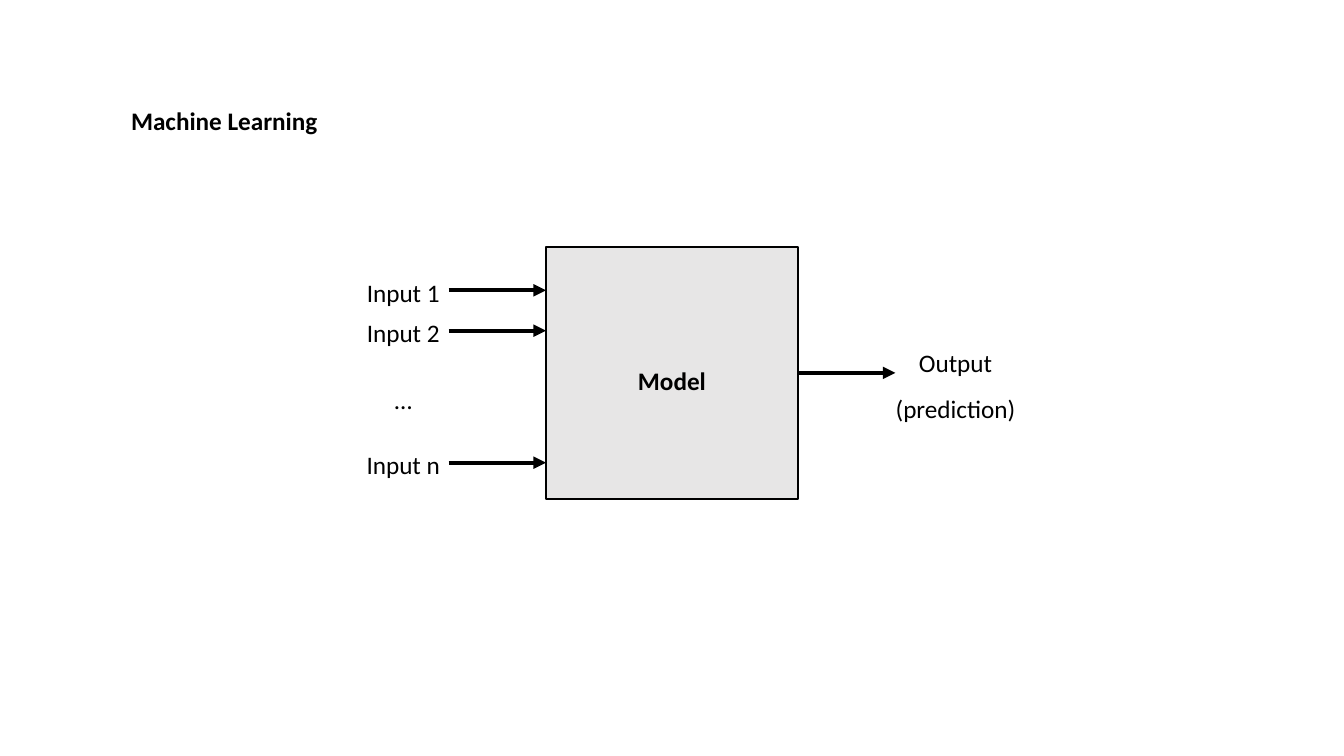
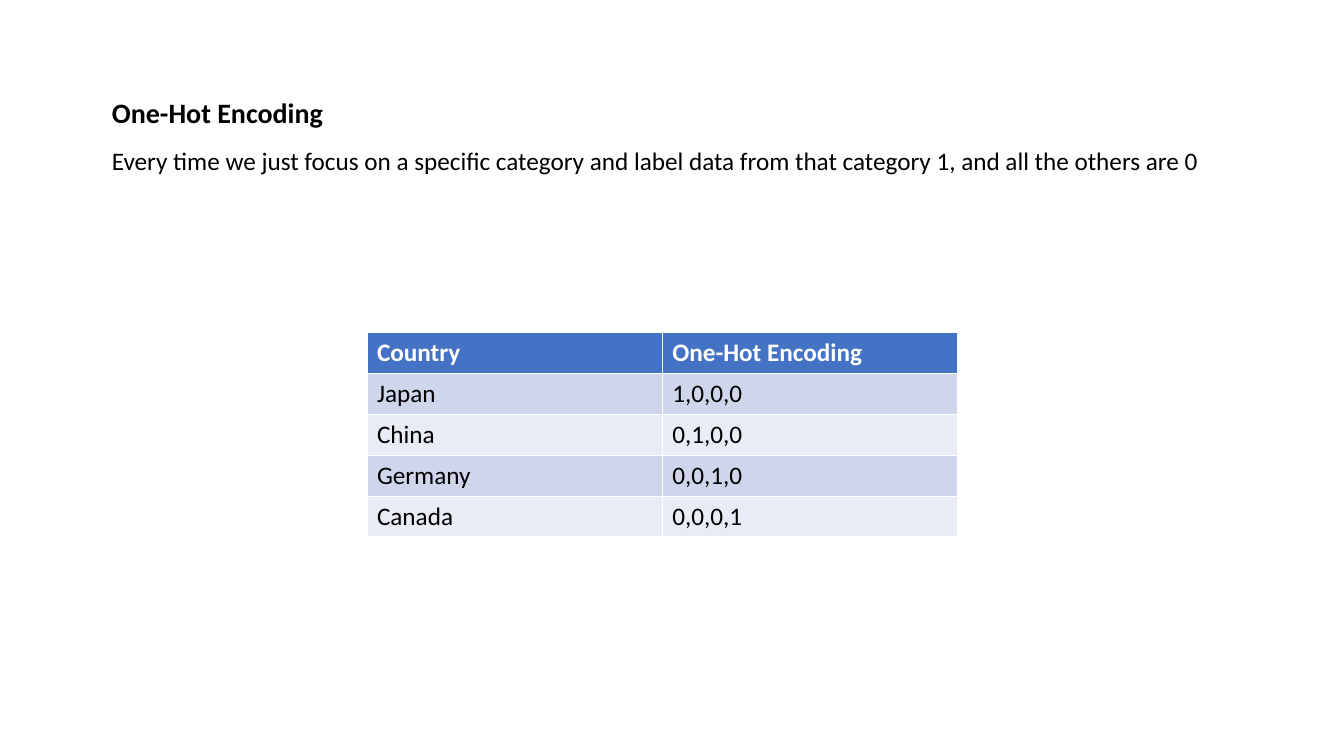
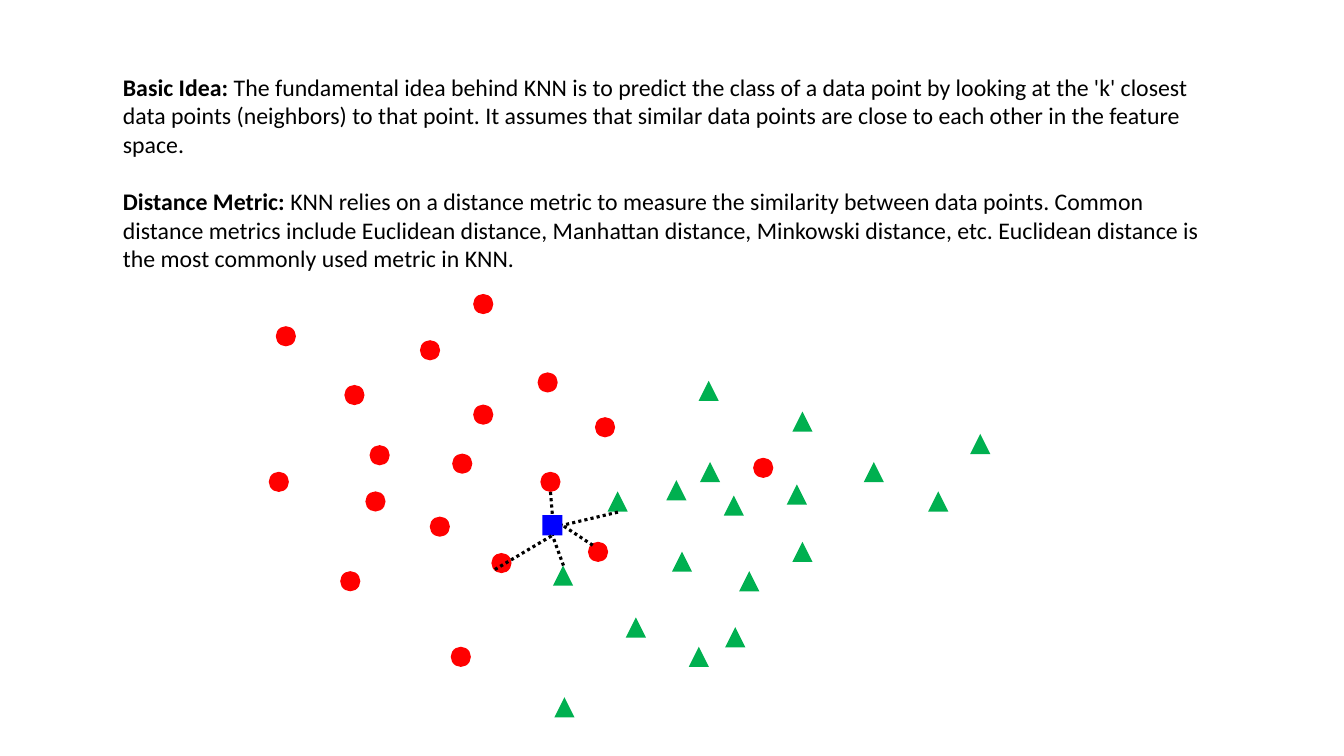
from dataclasses import dataclass

from lxml import etree
from pptx import Presentation
from pptx.dml.color import RGBColor
from pptx.enum import dml, shapes, text
from pptx.oxml import ns
from pptx.util import Pt


@dataclass(frozen=True)
class Theme:
    font: str = "Calibri"
    ink: str = "000000"
    paper: str = "FFFFFF"
    model: str = "E7E6E6"
    header: str = "4472C4"
    bands: tuple = ("CFD5EA", "E9EBF5")
    red: str = "FF0000"
    green: str = "00B050"
    blue: str = "0000FF"
    heading: int = 20
    body: int = 18
    dense: int = 17
    loose: float = 1.5


THEME = Theme()
SLIDE_SIZE = (960, 540)

MODEL_TITLE = "Machine Learning"
MODEL_BOX = (390, 176.4, 180, 180)
INPUTS = [("Input 1", 207.4, True), ("Input 2", 236.2, True),
          ("…", 283.7, False), ("Input n", 330.5, True)]
OUTPUT = "Output\v(prediction)"
ARROW_LENGTH = 69.6
LABEL_WIDTH = 168.5

ENCODING_TITLE = "One-Hot Encoding"
ENCODING_TEXT = ("Every time we just focus on a specific category and label data "
                 "from that category 1, and all the others are 0")
ENCODING_ROWS = [("Country", "One-Hot Encoding"), ("Japan", "1,0,0,0"),
                 ("China", "0,1,0,0"), ("Germany", "0,0,1,0"), ("Canada", "0,0,0,1")]

KNN_IDEAS = [
    ("Basic Idea:", " The fundamental idea behind KNN is to predict the class of a data "
     "point by looking at the 'k' closest data points (neighbors) to that point. It "
     "assumes that similar data points are close to each other in the feature space."),
    ("Distance Metric:", " KNN relies on a distance metric to measure the similarity "
     "between data points. Common distance metrics include Euclidean distance, Manhattan "
     "distance, Minkowski distance, etc. Euclidean distance is the most commonly used "
     "metric in KNN."),
]
MARKER = 14.4
CIRCLES = [(338, 289), (300, 243), (538, 327), (307, 369), (386, 337), (384, 266),
           (420, 387), (425, 298), (351, 395), (322, 462), (243, 408), (192, 337),
           (264, 318), (323, 324), (338, 210), (197, 233), (246, 275), (261, 351)]
TRIANGLES = [(492, 462), (480, 394), (447, 441), (476, 343), (434, 351), (500, 330),
             (395, 404), (396, 498), (562, 346), (528, 408), (499, 272), (517, 354),
             (518, 448), (663, 351), (617, 330), (693, 310), (566, 294), (566, 387)]
QUERY = (387.4, 368)
NEIGHBOR_LINKS = [((393.2, 351.4), "top"), ((402.5, 404), "bottom"),
                  ((353.5, 406.8), "bottom"), ((441.4, 365.8), "right"),
                  ((423.4, 389.5), "right")]


def color(value):
    return RGBColor.from_string(value)


def style(paragraph, size, bold=None, ink=THEME.ink, align=None, spacing=None):
    paragraph.alignment = align
    paragraph.line_spacing = spacing
    font = paragraph.font
    font.name, font.size, font.bold = THEME.font, Pt(size), bold
    font.color.rgb = color(ink)


def prepare(shape, anchor=text.MSO_ANCHOR.TOP):
    frame = shape.text_frame
    frame.word_wrap = True
    frame.auto_size = text.MSO_AUTO_SIZE.NONE
    frame.vertical_anchor = anchor
    return frame


def place(shape, left, top, width, height):
    shape.left, shape.top = Pt(left), Pt(top)
    shape.width, shape.height = Pt(width), Pt(height)


def set_title(slide, content, box, size):
    title = slide.shapes.title
    place(title, *box)
    frame = prepare(title)
    frame.text = content
    style(frame.paragraphs[0], size, True, align=text.PP_ALIGN.LEFT, spacing=THEME.loose)


def set_body(slide, paragraphs, box, size, spacing=None, gap=0):
    body = slide.placeholders[1]
    place(body, *box)
    frame = prepare(body)
    for index, (lead, rest) in enumerate(paragraphs):
        paragraph = frame.add_paragraph() if index else frame.paragraphs[0]
        for content, bold in ((lead, True), (rest, False)):
            if content:
                run = paragraph.add_run()
                run.text, run.font.bold = content, bold
        paragraph.space_before = Pt(gap if index else 0)
        properties = paragraph._p.get_or_add_pPr()
        properties.set("marL", "0")
        properties.set("indent", "0")
        etree.SubElement(properties, ns.qn("a:buNone"))
        style(paragraph, size, spacing=spacing)


def add_label(slide, content, left, top, height):
    box = slide.shapes.add_textbox(Pt(left), Pt(top), Pt(LABEL_WIDTH), Pt(height))
    frame = prepare(box)
    frame.text = content
    style(frame.paragraphs[0], THEME.body, align=text.PP_ALIGN.CENTER, spacing=THEME.loose)


def add_shape(slide, kind, box, fill):
    shape = slide.shapes.add_shape(kind, *map(Pt, box))
    shape.shadow.inherit = False
    shape.fill.solid()
    shape.fill.fore_color.rgb = color(fill)
    shape.line.fill.background()
    return shape


def add_line(slide, start, end, width, arrow=False, dash=None):
    line = slide.shapes.add_connector(shapes.MSO_CONNECTOR.STRAIGHT, *map(Pt, start + end))
    line.line.width = Pt(width)
    line.line.color.rgb = color(THEME.ink)
    if dash:
        line.line.dash_style = dash
    if arrow:
        etree.SubElement(line.line._get_or_add_ln(), ns.qn("a:tailEnd"), type="triangle")
    etree.SubElement(line.element.spPr, ns.qn("a:effectLst"))


def new_slide(presentation, layout):
    return presentation.slides.add_slide(presentation.slide_layouts[layout])


def build_model(presentation):
    slide = new_slide(presentation, 5)
    set_title(slide, MODEL_TITLE, (86.4, 60.5, 479.5, 36.7), THEME.body)
    left, top, width, height = MODEL_BOX
    model = add_shape(slide, shapes.MSO_SHAPE.RECTANGLE, MODEL_BOX, THEME.model)
    model.line.color.rgb = color(THEME.ink)
    model.line.width = Pt(1)
    frame = prepare(model, text.MSO_ANCHOR.MIDDLE)
    frame.text = "Model"
    style(frame.paragraphs[0], THEME.body, True, align=text.PP_ALIGN.CENTER,
          spacing=THEME.loose)
    for label, y, has_arrow in INPUTS:
        add_label(slide, label, 203.8, y - 23.8, 36.7)
        if has_arrow:
            add_line(slide, (left - ARROW_LENGTH, y), (left, y), 3, arrow=True)
    right, middle = left + width, top + height / 2
    add_line(slide, (right, middle), (right + ARROW_LENGTH, middle), 3, arrow=True)
    add_label(slide, OUTPUT, 598.3, 234, 69.1)


def build_encoding(presentation):
    slide = new_slide(presentation, 1)
    set_title(slide, ENCODING_TITLE, (72.7, 52.6, 808.6, 40), THEME.heading)
    set_body(slide, [("", ENCODING_TEXT)], (72.7, 89.2, 808.6, 40), THEME.body, THEME.loose)
    row_height, column_width = 29.2, 211
    count = len(ENCODING_ROWS)
    table = slide.shapes.add_table(count, 2, Pt(262.1), Pt(237.6), Pt(2 * column_width),
                                   Pt(count * row_height)).table
    for row, values in enumerate(ENCODING_ROWS):
        table.rows[row].height = Pt(row_height)
        for column, value in enumerate(values):
            cell = table.cell(row, column)
            cell.text = value
            cell.fill.solid()
            cell.fill.fore_color.rgb = color(THEME.bands[(row - 1) % 2] if row
                                             else THEME.header)
            style(cell.text_frame.paragraphs[0], THEME.body, row == 0,
                  THEME.ink if row else THEME.paper)


def build_neighbors(presentation):
    slide = new_slide(presentation, 1)
    title = slide.shapes.title.element
    title.getparent().remove(title)
    set_body(slide, KNN_IDEAS, (80.6, 48.2, 798.5, 193), THEME.dense, gap=20.4)
    groups = [(shapes.MSO_SHAPE.OVAL, THEME.red, CIRCLES),
              (shapes.MSO_SHAPE.ISOSCELES_TRIANGLE, THEME.green, TRIANGLES),
              (shapes.MSO_SHAPE.RECTANGLE, THEME.blue, [QUERY])]
    for kind, fill, points in groups:
        for point in points:
            add_shape(slide, kind, point + (MARKER, MARKER), fill)
    x, y = QUERY
    sides = {"top": (x + MARKER / 2, y), "bottom": (x + MARKER / 2, y + MARKER),
             "right": (x + MARKER, y + MARKER / 2)}
    for start, side in NEIGHBOR_LINKS:
        add_line(slide, start, sides[side], 2.25, dash=dml.MSO_LINE.ROUND_DOT)


def main():
    presentation = Presentation()
    presentation.slide_width, presentation.slide_height = map(Pt, SLIDE_SIZE)
    for build in (build_model, build_encoding, build_neighbors):
        build(presentation)
    presentation.save("out.pptx")


if __name__ == "__main__":
    main()
